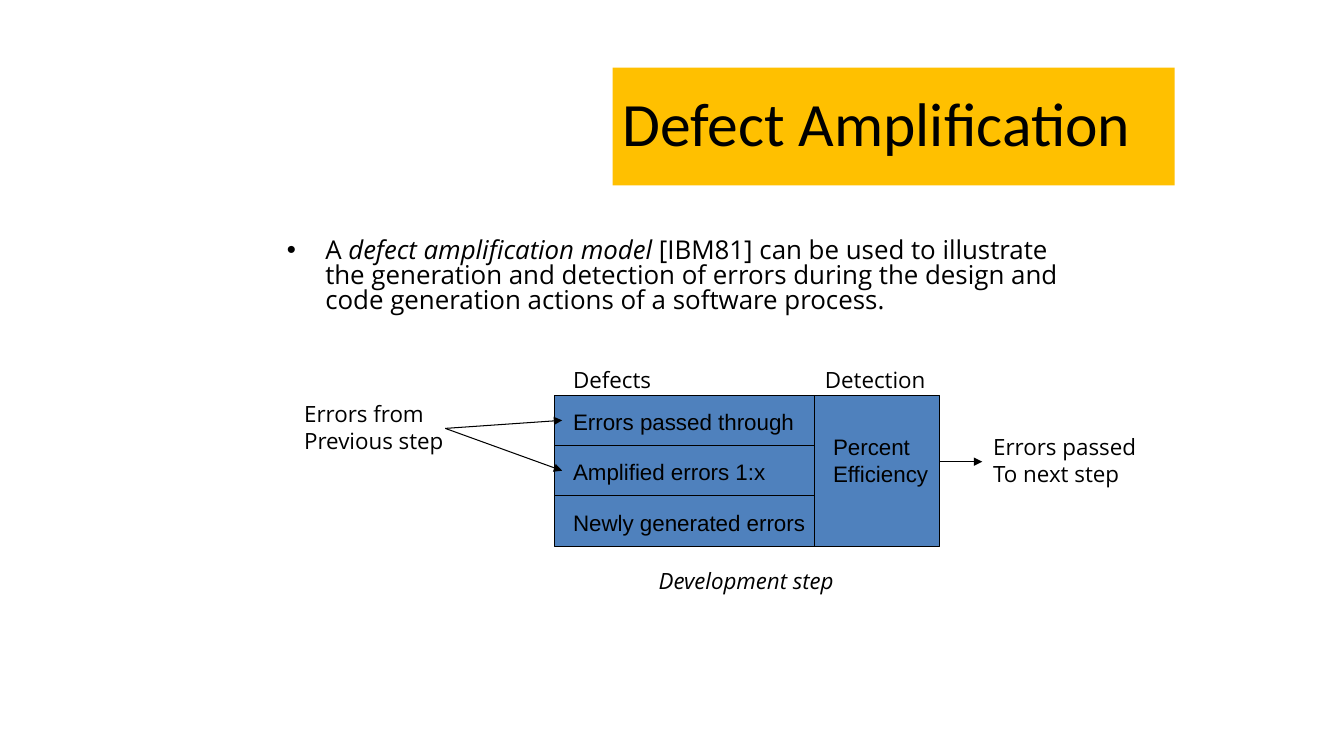
from lxml import etree
from pptx import Presentation
from pptx import util as u
from pptx.dml.color import RGBColor
from pptx.enum import shapes, text
from pptx.oxml import ns


def color(value):
    return RGBColor.from_string(value)


class Diagram:
    """Draws styled elements on one slide."""

    black, blue, amber = "000000", "4F81BD", "FFC000"
    body, label = "Open Sans", "Arial"

    def __init__(self, s):
        self.s = s

    def style(self, p, font, size, italic=False):
        for r in p.runs:
            r.font.name = font
            r.font.size = u.Pt(size)
            r.font.italic = italic
            r.font.color.rgb = color(self.black)

    def title(self, x, y, w, h, words):
        sp = self.box(x, y, w, h, self.amber, outlined=False)
        tf = sp.text_frame
        tf.text = words
        tf.word_wrap = True
        tf.vertical_anchor = text.MSO_ANCHOR.MIDDLE
        p = tf.paragraphs[0]
        p.alignment = text.PP_ALIGN.LEFT
        p.line_spacing = 0.9
        self.style(p, "Calibri", 44)

    def bullet(self, x, y, w, h, parts, emphasized):
        sp = self.s.shapes.add_textbox(*map(u.Inches, (x, y, w, h)))
        tf = sp.text_frame
        tf.word_wrap = True
        p = tf.paragraphs[0]
        p.line_spacing = 0.8
        pPr = p._p.get_or_add_pPr()
        pPr.set("marL", str(u.Inches(0.38)))
        pPr.set("indent", str(u.Inches(-0.38)))
        etree.SubElement(pPr, ns.qn("a:buFont"), typeface="Arial")
        etree.SubElement(pPr, ns.qn("a:buChar"), char="•")
        for part in parts:
            p.add_run().text = part
        self.style(p, self.body, 18.5)
        p.runs[emphasized].font.italic = True

    def note(self, x, y, w, words, font=body, italic=False):
        h = 0.37 + 0.27 * words.count("\n")
        sp = self.s.shapes.add_textbox(*map(u.Inches, (x, y, w, h)))
        tf = sp.text_frame
        tf.text = words
        tf.word_wrap = False
        tf.auto_size = text.MSO_AUTO_SIZE.SHAPE_TO_FIT_TEXT
        for p in tf.paragraphs:
            self.style(p, font, 16, italic)

    def box(self, x, y, w, h, fill, outlined=True):
        sp = self.s.shapes.add_shape(
            shapes.MSO_SHAPE.RECTANGLE, *map(u.Inches, (x, y, w, h)))
        sp.shadow.inherit = False
        sp.fill.solid()
        sp.fill.fore_color.rgb = color(fill)
        if outlined:
            self.stroke(sp.line)
        else:
            sp.line.fill.background()
        return sp

    def stroke(self, line):
        line.color.rgb = color(self.black)
        line.width = u.Pt(0.75)

    def line(self, x1, y1, x2, y2, arrow=False):
        sp = self.s.shapes.add_connector(
            shapes.MSO_CONNECTOR.STRAIGHT, *map(u.Inches, (x1, y1, x2, y2)))
        self.stroke(sp.line)
        if arrow:
            etree.SubElement(sp.line._get_or_add_ln(), ns.qn("a:tailEnd"), type="triangle")
        etree.SubElement(sp._element.spPr, ns.qn("a:effectLst"))


def main():
    prs = Presentation()
    prs.slide_width, prs.slide_height = u.Inches(13.34), u.Inches(7.5)
    d = Diagram(prs.slides.add_slide(prs.slide_layouts[6]))

    d.title(6.08, 0.67, 5.58, 1.17, "Defect Amplification")
    d.bullet(2.75, 2.33, 8.05, 1.08, [
        "A ",
        "defect amplification model",
        " [IBM81] can be used to illustrate the generation and detection of errors "
        "during the design and code generation actions of a software process.",
    ], emphasized=1)

    left, top, divider, right, row = 5.5, 3.92, 8.08, 9.33, 0.5
    bottom = top + 3 * row
    d.box(left, top, right - left, bottom - top, d.blue)
    for i in (1, 2):
        d.line(left, top + i * row, divider, top + i * row)
    d.line(divider, top, divider, bottom)

    defects = [("Errors passed through", 2.42), ("Amplified errors 1:x", 2.14),
               ("Newly generated errors", 2.54)]
    for i, (words, width) in enumerate(defects):
        d.note(5.59, 4 + i * row, width, words, d.label)
    d.note(8.17, 4.25, 1.18, "Percent\nEfficiency", d.label)

    d.note(5.59, 3.58, 1.02, "Defects")
    d.note(8.09, 3.58, 1.23, "Detection")
    d.note(6.44, 5.58, 1.97, "Development step", italic=True)
    d.note(2.92, 3.92, 1.62, "Errors from\nPrevious step")
    d.note(9.76, 4.25, 1.71, "Errors passed\nTo next step")

    for i in (0, 1):
        d.line(4.42, 4.25, 5.58, 4.17 + i * row, arrow=True)
    d.line(right, 4.58, 9.75, 4.58, arrow=True)

    prs.save("out.pptx")


if __name__ == "__main__":
    main()
